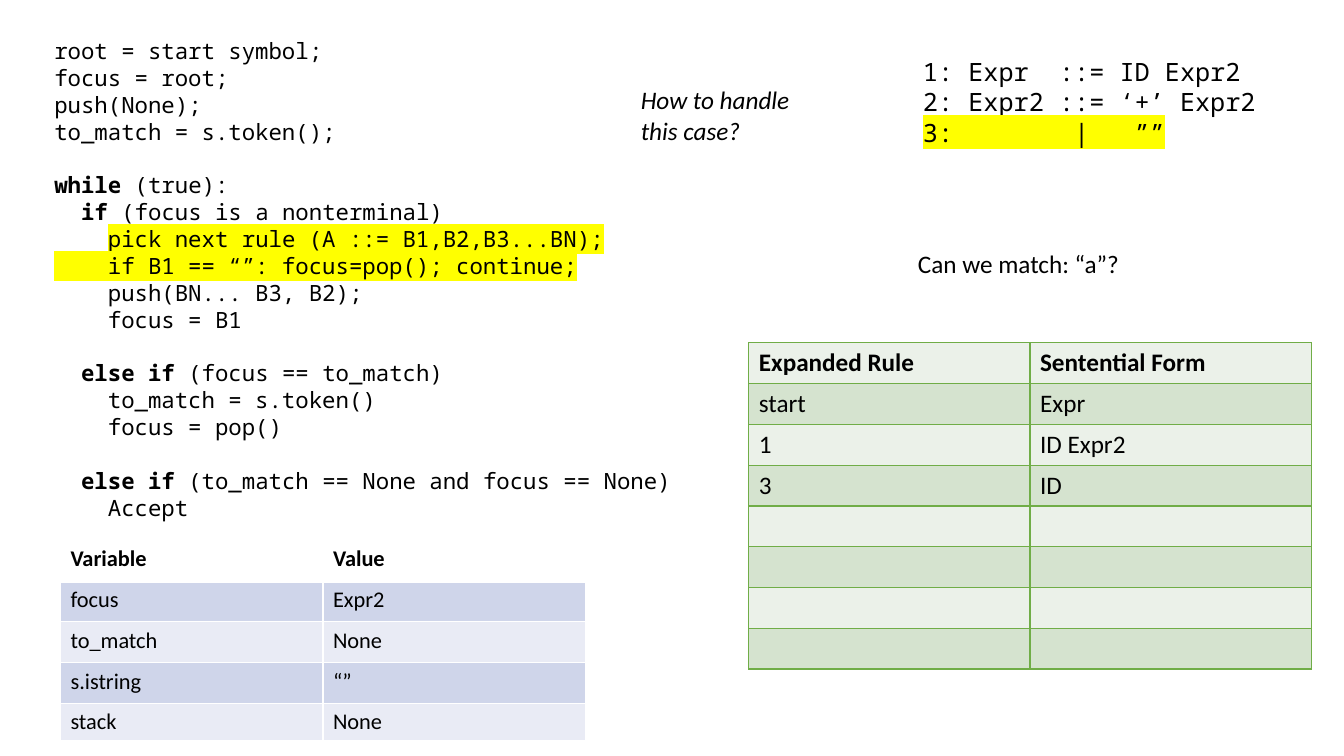
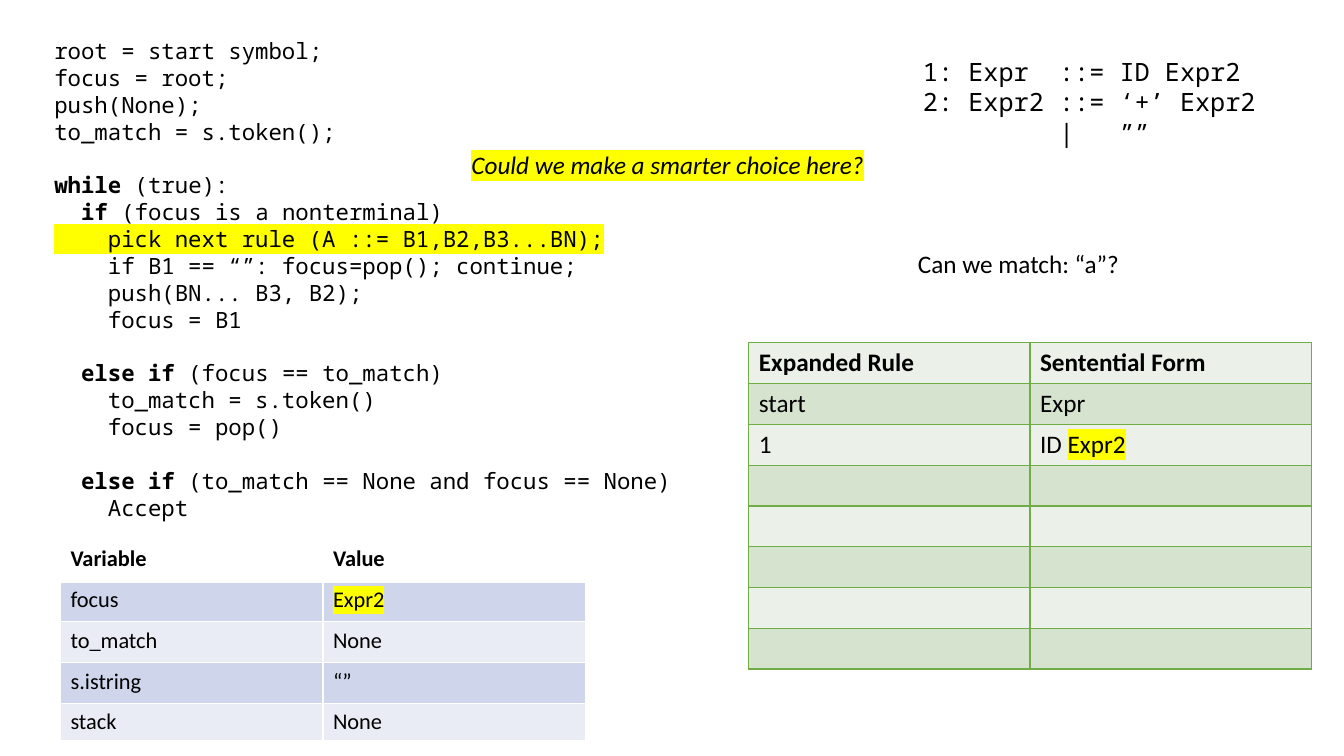
"""Build two slides that trace a top-down parser on the input "a"."""
from lxml.etree import SubElement
from pptx import Presentation
from pptx.dml.color import RGBColor as Color
from pptx.oxml import parse_xml
from pptx.oxml.ns import nsdecls, qn
from pptx.util import Emu, Pt

PX_PER_INCH = 200
BLACK = Color(0x00, 0x00, 0x00)
WHITE = Color(0xFF, 0xFF, 0xFF)
YELLOW = Color(0xFF, 0xFF, 0x00)
GREEN = Color(0x70, 0xAD, 0x47)
GREEN_BANDS = (Color(0xEB, 0xF1, 0xE9), Color(0xD5, 0xE3, 0xCF))
BLUE_BANDS = (Color(0xE9, 0xEB, 0xF5), Color(0xCF, 0xD5, 0xEA))
SANS = "Calibri"
MONO = "Noto Sans Mono"
MONO_LEADING = 1.2
BOLD_MARK = "~"
HIGHLIGHT_MARK = "^"
PICK_RULE = "pick next rule (A ::= B1,B2,B3...BN);"
SKIP_EMPTY = "    if B1 == “”: focus=pop(); continue;"
GRAMMAR = ["1: Expr  ::= ID Expr2", "2: Expr2 ::= ‘+’ Expr2"]


def px(length):
    """Turn a length in px into EMU."""
    return Emu(length * 914400 // PX_PER_INCH)


def highlight(run):
    """Put a yellow marker behind a run whose colour is already set."""
    marker = parse_xml(
        f'<a:highlight {nsdecls("a")}><a:srgbClr val="{YELLOW}"/></a:highlight>')
    run.font._element.find(qn("a:solidFill")).addnext(marker)


def write_spans(para, text, size, font=SANS, bold=False, italic=False):
    """Write marked-up text: ~bold~ and ^highlighted^."""
    for mark_index, marked in enumerate(text.split(HIGHLIGHT_MARK)):
        for bold_index, words in enumerate(marked.split(BOLD_MARK)):
            if not words:
                continue
            span = para.add_run()
            span.text = words
            span.font.name = font
            span.font.size = Pt(size)
            span.font.bold = bold or bold_index % 2 == 1
            span.font.italic = italic
            span.font.color.rgb = BLACK
            if mark_index % 2:
                highlight(span)


def add_text(slide, left, top, width, height, blocks, size=18, font=SANS,
             italic=False):
    """Add a text box of blocks of lines, set one line apart."""
    box = slide.shapes.add_textbox(px(left), px(top), px(width), px(height))
    frame = box.text_frame
    frame.word_wrap = True
    para = frame.paragraphs[0]
    for block_index, lines in enumerate(blocks):
        for line_index, line in enumerate(lines):
            if block_index or line_index:
                para = frame.add_paragraph()
            if block_index and not line_index:
                para.space_before = Pt(size * MONO_LEADING)
            if font == MONO:
                para.line_spacing = Pt(size * MONO_LEADING)
            write_spans(para, line, size, font, italic=italic)


def set_borders(cell, color, top=1, bottom=1):
    """Draw the four borders of a cell, with widths in points."""
    properties = cell._tc.get_or_add_tcPr()
    widths = {"lnL": 1, "lnR": 1, "lnT": top, "lnB": bottom}
    for position, (side, width) in enumerate(widths.items()):
        line = SubElement(properties, qn(f"a:{side}"), w=str(Pt(width)))
        fill = SubElement(line, qn("a:solidFill"))
        SubElement(fill, qn("a:srgbClr"), val=str(color))
        properties.insert(position, line)


def add_grid(slide, left, top, width, heights, rows, size, bands, header_fill,
             border, header_rule=1):
    """Add a banded two-column table; missing rows stay empty."""
    frame = slide.shapes.add_table(
        len(heights), 2, px(left), px(top), px(width), px(sum(heights)))
    table = frame.table
    table.first_row = table.horz_banding = False
    for row_index, height in enumerate(heights):
        table.rows[row_index].height = px(height)
        texts = rows[row_index] if row_index < len(rows) else ("", "")
        for column, text in enumerate(texts):
            cell = table.cell(row_index, column)
            cell.fill.solid()
            cell.fill.fore_color.rgb = (
                bands[row_index % 2] if row_index else header_fill)
            set_borders(cell, border,
                        top=header_rule if row_index == 1 else 1,
                        bottom=header_rule if row_index == 0 else 1)
            write_spans(cell.text_frame.paragraphs[0], text, size,
                        bold=row_index == 0)


def parser_code(pick_rule, skip_empty):
    """Return the parser's blocks of code with the two given lines."""
    return [
        ["root = start symbol;", "focus = root;", "push(None);",
         "to_match = s.token();"],
        ["~while~ (true):", "  ~if~ (focus is a nonterminal)", pick_rule,
         skip_empty, "    push(BN... B3, B2);", "    focus = B1"],
        ["~  else if ~(focus == to_match)", "    to_match = s.token()",
         "    focus = pop()"],
        ["~  else if ~(to_match == None and focus == None)", "    Accept"],
    ]


def add_trace_slide(deck, code, empty_rule, steps, focus):
    """Add a slide with code, grammar, derivation steps and variables."""
    slide = deck.slides.add_slide(deck.slide_layouts[6])
    add_text(slide, 88, 64, 1310, 1152, code, 16, MONO)
    add_grid(slide, 1486, 680, 1116, [81] * 8,
             [("Expanded Rule", "Sentential Form"), ("start", "Expr"), *steps],
             18, GREEN_BANDS, GREEN_BANDS[0], GREEN)
    add_grid(slide, 120, 1072, 1042, [81] * 4 + [74],
             [("Variable", "Value"), ("focus", focus), ("to_match", "None"),
              ("s.istring", "“”"), ("stack", "None")],
             16, BLUE_BANDS, WHITE, WHITE, header_rule=3)
    add_text(slide, 1812, 102, 854, 202, [[*GRAMMAR, empty_rule]], font=MONO)
    add_text(slide, 1802, 482, 480, 80, [["Can we match: “a”?"]])
    return slide


def main():
    """Build and save the deck."""
    deck = Presentation()
    deck.slide_width, deck.slide_height = px(2667), px(1500)

    slide = add_trace_slide(
        deck, parser_code(f"    ^{PICK_RULE}^", f"^{SKIP_EMPTY}^"),
        "^3:        |   ””^", [("1", "ID Expr2"), ("3", "ID")], "Expr2")
    add_text(slide, 1252, 158, 360, 142, [["How to handle", "this case?"]],
             italic=True)

    slide = add_trace_slide(
        deck, parser_code(f"^    {PICK_RULE}^", SKIP_EMPTY),
        "         |   ””", [("1", "ID ^Expr2^")], "^Expr2^")
    add_text(slide, 916, 286, 860, 80,
             [["^Could we make a smarter choice here?^"]], italic=True)

    deck.save("out.pptx")


if __name__ == "__main__":
    main()
